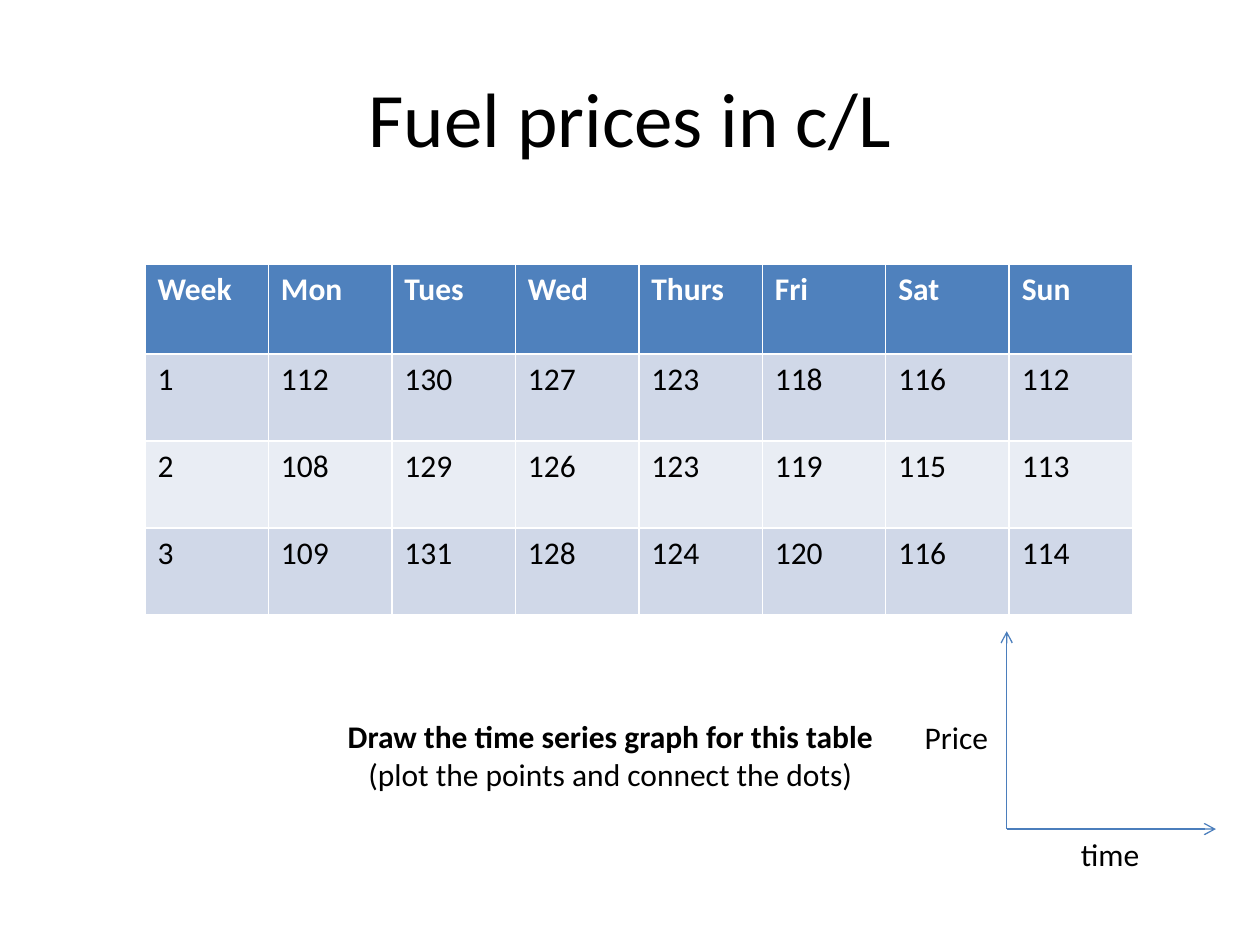
from lxml.etree import SubElement
from pptx import Presentation
from pptx.dml.color import RGBColor
from pptx.enum.shapes import MSO_CONNECTOR
from pptx.enum.text import MSO_ANCHOR, PP_ALIGN
from pptx.oxml.ns import qn
from pptx.util import Inches, Pt

TITLE = "Fuel prices in c/L"
PRICES = [
    ["Week", "Mon", "Tues", "Wed", "Thurs", "Fri", "Sat", "Sun"],
    [1, 112, 130, 127, 123, 118, 116, 112],
    [2, 108, 129, 126, 123, 119, 115, 113],
    [3, 109, 131, 128, 124, 120, 116, 114],
]
TASK = [("Draw the time series graph for this table", True),
        ("(plot the points and connect the dots)", False)]
COLORS = {"header": "4F81BD", "odd": "D0D8E8", "even": "E9EDF4",
          "axis": "4B7EBC", "text": "000000", "white": "FFFFFF"}
FONT = "Calibri"
COLUMN, HEADER_ROW, WEEK_ROW = 0.98, 0.71, 0.69
TABLE_LEFT, TABLE_TOP = 1.15, 2.1
ORIGIN = (7.99, 6.58)
AXIS_ENDS = [(7.99, 5.01), (9.65, 6.58)]
AXIS_LABELS = [("Price", (7.24, 5.65, 0.71, 0.4)),
               ("time", (8.48, 6.58, 0.67, 0.4))]


def color(name):
    return RGBColor.from_string(COLORS[name])


def style(paragraph, size=18, bold=False, ink="text"):
    font = paragraph.font
    font.name, font.size, font.bold = FONT, Pt(size), bold
    font.color.rgb = color(ink)


def add_text(slide, box, lines, size=18, align=PP_ALIGN.CENTER,
             anchor=MSO_ANCHOR.TOP, wrap=False):
    frame = slide.shapes.add_textbox(*map(Inches, box)).text_frame
    frame.word_wrap, frame.vertical_anchor = wrap, anchor
    frame.text = "\n".join(text for text, _ in lines)
    for paragraph, (_, bold) in zip(frame.paragraphs, lines):
        paragraph.alignment = align
        style(paragraph, size, bold)


def add_prices(slide):
    heights = [HEADER_ROW] + [WEEK_ROW] * (len(PRICES) - 1)
    width = COLUMN * len(PRICES[0])
    table = slide.shapes.add_table(
        len(PRICES), len(PRICES[0]),
        *map(Inches, (TABLE_LEFT, TABLE_TOP, width, sum(heights)))).table
    for column in table.columns:
        column.width = Inches(COLUMN)
    for r, values in enumerate(PRICES):
        table.rows[r].height = Inches(heights[r])
        fill = "header" if r == 0 else "odd" if r % 2 else "even"
        for c, value in enumerate(values):
            cell = table.cell(r, c)
            cell.text = str(value)
            cell.fill.solid()
            cell.fill.fore_color.rgb = color(fill)
            style(cell.text_frame.paragraphs[0], bold=r == 0,
                  ink="text" if r else "white")


def add_axis(slide, end):
    axis = slide.shapes.add_connector(
        MSO_CONNECTOR.STRAIGHT, *map(Inches, ORIGIN + end))
    axis.line.color.rgb = color("axis")
    axis.line.width = Pt(0.75)
    SubElement(axis.line._get_or_add_ln(), qn("a:tailEnd"), type="arrow")
    SubElement(axis._element.spPr, qn("a:effectLst"))


def main():
    deck = Presentation()
    deck.slide_width, deck.slide_height = Inches(10), Inches(7.5)
    slide = deck.slides.add_slide(deck.slide_layouts[6])
    add_text(slide, (0.5, 0.3, 9, 1.25), [(TITLE, False)], size=44,
             anchor=MSO_ANCHOR.MIDDLE, wrap=True)
    add_prices(slide)
    add_text(slide, (2.64, 5.64, 4.41, 0.71), TASK)
    for end in AXIS_ENDS:
        add_axis(slide, end)
    for label, box in AXIS_LABELS:
        add_text(slide, box, [(label, False)], align=PP_ALIGN.LEFT)
    deck.save("out.pptx")


if __name__ == "__main__":
    main()
